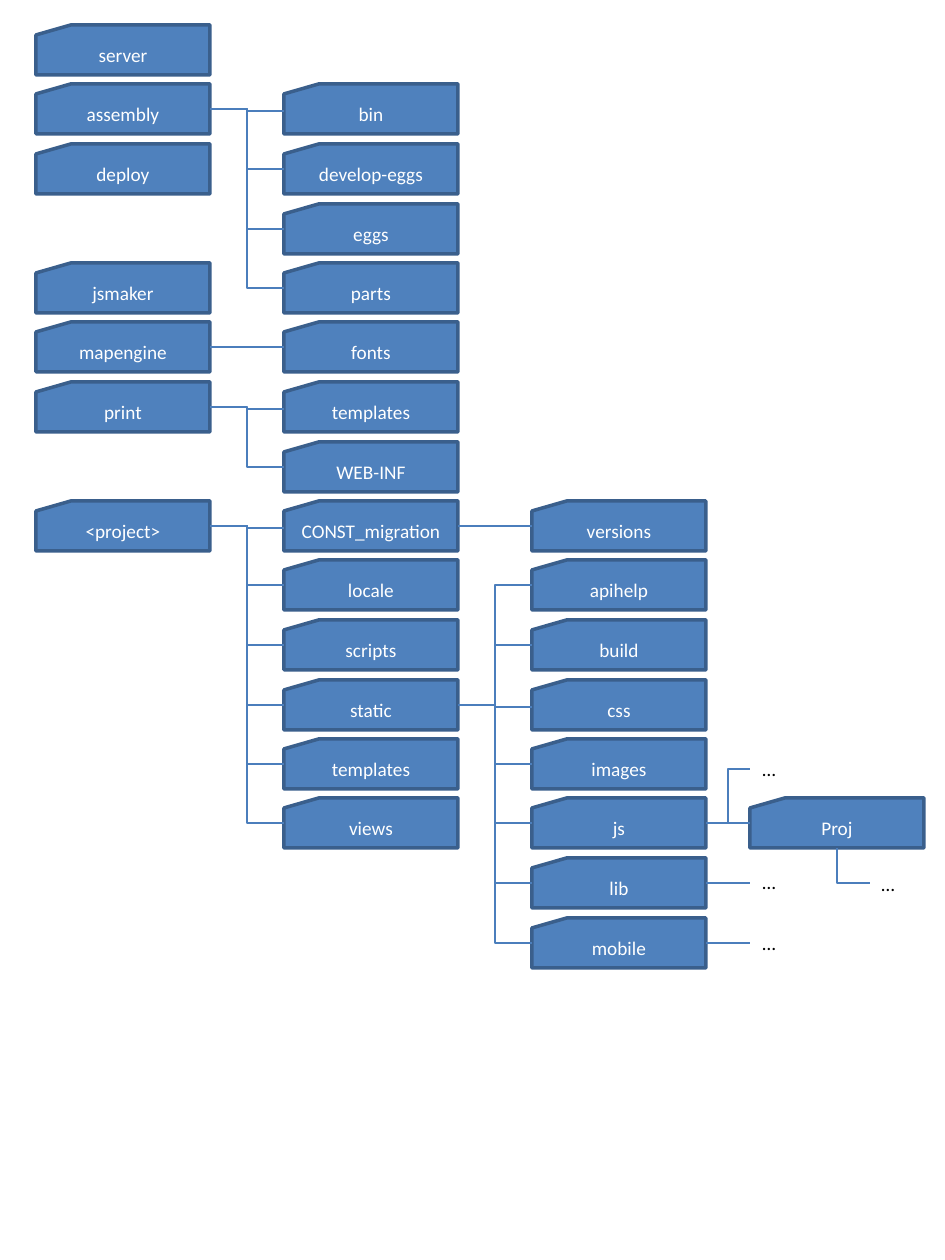
from pptx import Presentation
from pptx import util as u
from pptx.dml.color import RGBColor
from pptx.enum import shapes, text
from pptx.oxml.ns import qn
from lxml import etree

PX = 914400 / 126
CARD_W, CARD_H, STEP = 174, 50, 59.5
COLS = [36, 284, 532, 750]


def px(n):
    return u.Emu(round(n * PX))


def tint(code):
    return RGBColor.from_string(code)


def label(shape, words, color, align):
    para = shape.text_frame.paragraphs[0]
    para.text = words
    para.alignment = align
    para.font.size = u.Pt(11)
    para.font.name = "Calibri"
    para.font.color.rgb = tint(color)


def wire(slide, x1, y1, x2, y2):
    line = slide.shapes.add_connector(
        shapes.MSO_CONNECTOR.ELBOW, px(x1), px(y1), px(x2), px(y2))
    line.line.color.rgb = tint("4B7EBC")
    line.line.width = u.Pt(0.75)
    etree.SubElement(line.element.spPr, qn("a:effectLst"))
    return line


def corner(slide, x, y, w, h):
    shift = (w - h) / 2
    line = wire(slide, x + shift + h, y - shift, x + shift, y - shift + w)
    line.element.spPr.find(qn("a:prstGeom")).set("prst", "bentConnector2")
    line.element.spPr.find(qn("a:xfrm")).set("rot", "16200000")


def card(slide, x, y, name):
    box = slide.shapes.add_shape(
        shapes.MSO_SHAPE.FLOWCHART_CARD, px(x), px(y), px(CARD_W), px(CARD_H))
    box.shadow.inherit = False
    box.fill.solid()
    box.fill.fore_color.rgb = tint("4F81BD")
    box.line.color.rgb = tint("3A5F8C")
    box.line.width = u.Pt(2)
    box.text_frame.vertical_anchor = text.MSO_ANCHOR.MIDDLE
    label(box, name, "FFFFFF", text.PP_ALIGN.CENTER)


def dots(slide, x, y):
    box = slide.shapes.add_textbox(px(x), px(y), px(39), px(36))
    box.text_frame.word_wrap = False
    box.text_frame.auto_size = text.MSO_AUTO_SIZE.SHAPE_TO_FIT_TEXT
    label(box, "…", "000000", text.PP_ALIGN.LEFT)


def top(row):
    return round(25 + STEP * row)


def mid(row):
    return top(row) + CARD_H // 2


def stack(slide, x, names):
    for row, name in names.items():
        card(slide, x, top(row), name)


def branch(slide, col, row, kids):
    for kid in kids:
        kink = 2 if kid == row and len(kids) > 1 else 0
        wire(slide, COLS[col] + CARD_W, mid(row), COLS[col + 1], mid(kid) + kink)


def leaves(slide, x):
    left = COLS[2] + CARD_W
    for row in (13, 14, 15):
        wire(slide, left, mid(row), x, mid(row))
    wire(slide, x, 769, left, mid(13))
    corner(slide, x + CARD_W // 2, top(13) + CARD_H, 33, 35)
    for dx, y in [(0, 751), (0, 864), (0, 925), (119, 866)]:
        dots(slide, x + dx, y)


FOLDERS = [
    {0: "server", 1: "assembly", 2: "deploy", 4: "jsmaker",
     5: "mapengine", 6: "print", 8: "<project>"},
    dict(enumerate(["bin", "develop-eggs", "eggs", "parts", "fonts",
                    "templates", "WEB-INF", "CONST_migration", "locale",
                    "scripts", "static", "templates", "views"], 1)),
    dict(enumerate(["versions", "apihelp", "build", "css", "images",
                    "js", "lib", "mobile"], 8)),
    {13: "Proj"},
]
LINKS = [(0, 1, range(1, 5)), (0, 5, [5]), (0, 6, [6, 7]),
         (0, 8, range(8, 14)), (1, 8, [8]), (1, 11, range(9, 16))]

deck = Presentation()
deck.slide_width, deck.slide_height = px(945), px(1260)
page = deck.slides.add_slide(deck.slide_layouts[6])
for x, names in zip(COLS, FOLDERS):
    stack(page, x, names)
for col, row, kids in LINKS:
    branch(page, col, row, kids)
leaves(page, COLS[3])
deck.save("out.pptx")
